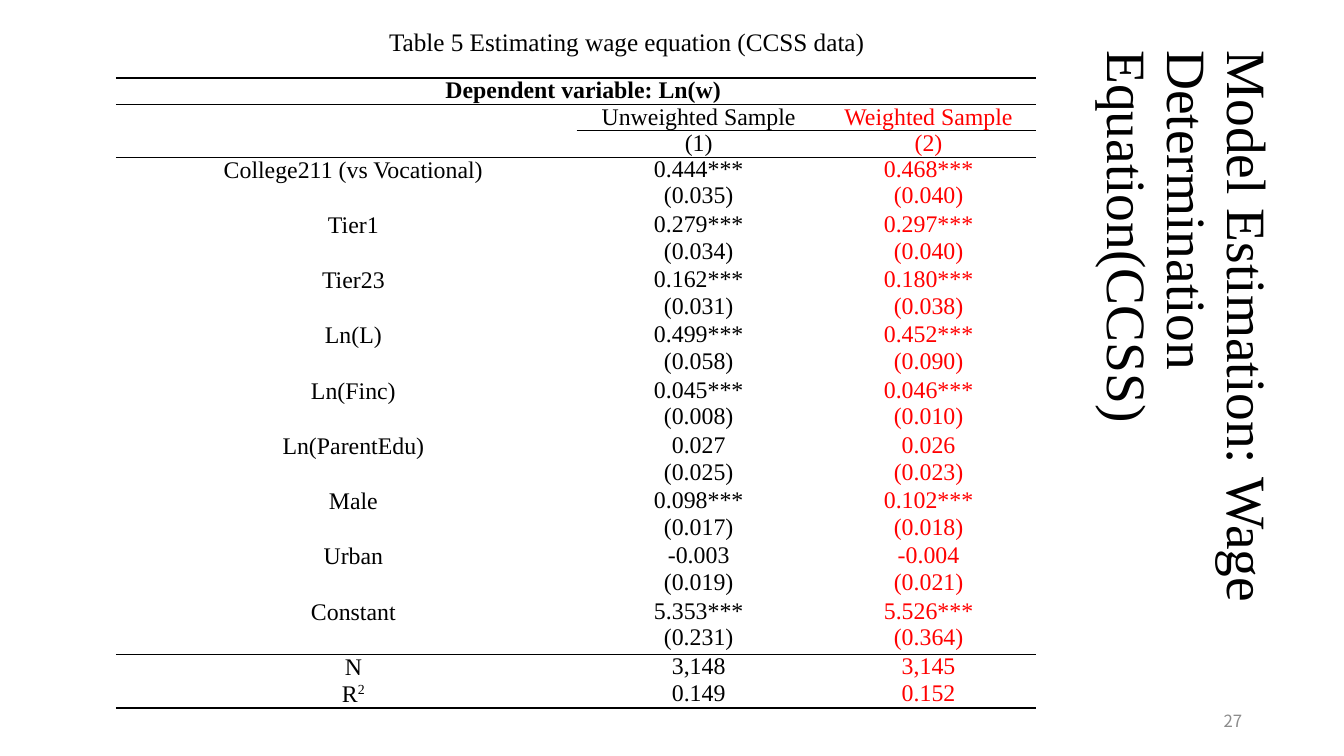
from dataclasses import dataclass

from lxml import etree
from pptx import Presentation
from pptx.dml.color import RGBColor
from pptx.enum.text import MSO_ANCHOR, PP_ALIGN
from pptx.oxml.ns import qn
from pptx.util import Inches, Pt

LEFT, CENTER, RIGHT = PP_ALIGN.LEFT, PP_ALIGN.CENTER, PP_ALIGN.RIGHT
TOP, MIDDLE = MSO_ANCHOR.TOP, MSO_ANCHOR.MIDDLE


@dataclass(frozen=True)
class Theme:
    serif: str = "Times New Roman"
    sans: str = "Noto Sans CJK SC"
    black: str = "000000"
    red: str = "FF0000"
    gray: str = "8C8C8C"
    title_size: float = 39.6
    caption_size: float = 18
    table_size: float = 17
    number_size: float = 12


@dataclass(frozen=True)
class Estimate:
    variable: str
    unweighted: str
    unweighted_error: str
    weighted: str
    weighted_error: str


THEME = Theme()

ESTIMATES = [
    Estimate("College211 (vs Vocational)", "0.444***", "(0.035)", "0.468***", "(0.040)"),
    Estimate("Tier1", "0.279***", "(0.034)", "0.297***", "(0.040)"),
    Estimate("Tier23", "0.162***", "(0.031)", "0.180***", "(0.038)"),
    Estimate("Ln(L)", "0.499***", "(0.058)", "0.452***", "(0.090)"),
    Estimate("Ln(Finc)", "0.045***", "(0.008)", "0.046***", "(0.010)"),
    Estimate("Ln(ParentEdu)", "0.027", "(0.025)", "0.026", "(0.023)"),
    Estimate("Male", "0.098***", "(0.017)", "0.102***", "(0.018)"),
    Estimate("Urban", "-0.003", "(0.019)", "-0.004", "(0.021)"),
    Estimate("Constant", "5.353***", "(0.231)", "5.526***", "(0.364)"),
]
HEADER_ROWS = [
    ("Dependent variable: Ln(w)", "", ""),
    ("", "Unweighted Sample", "Weighted Sample"),
    ("", "(1)", "(2)"),
]
SUMMARY_ROWS = [("N", "3,148", "3,145"), ("R", "0.149", "0.152")]
SUPERSCRIPTS = {"R": "2"}

COLUMN_WIDTHS = (4.57, 2.28, 2.28)
ROW_HEIGHT = 0.2
TABLE_LINE_SPACING = 0.93
# Rule widths in points, keyed by the row they stand above
RULES = {0: 1.5, 1: 1, 2: 1, 3: 1, 21: 1, 23: 1.5}


def write_text(frame, text: str, *, size: float, color: str = THEME.black,
               font: str = THEME.serif, bold: bool = False, align=LEFT,
               indent: float = 0, line_spacing: float | None = None,
               superscript: str = "") -> None:
    paragraph = frame.paragraphs[0]
    paragraph.alignment = align
    if line_spacing:
        paragraph.line_spacing = line_spacing
    if indent:
        properties = paragraph._p.get_or_add_pPr()
        properties.set("marL", "0")
        properties.set("indent", str(Inches(indent)))
    for part, raised in ((text, False), (superscript, True)):
        if not part:
            continue
        run = paragraph.add_run()
        run.text = part
        run.font.name = font
        run.font.size = Pt(size)
        run.font.bold = bold
        run.font.color.rgb = RGBColor.from_string(color)
        if raised:
            run._r.get_or_add_rPr().set("baseline", "30000")
    if not text:
        # Keep empty cells as low as the filled ones
        ending = paragraph._p.get_or_add_endParaRPr()
        ending.set("sz", str(int(size * 100)))
        etree.SubElement(ending, qn("a:latin"), typeface=font)


def add_text_box(slide, left: float, top: float, width: float, height: float,
                 text: str, *, anchor=TOP, vertical: bool = False, **text_format):
    shape = slide.shapes.add_textbox(
        Inches(left), Inches(top), Inches(width), Inches(height))
    frame = shape.text_frame
    frame.word_wrap = True
    frame.vertical_anchor = anchor
    if vertical:
        frame._txBody.bodyPr.set("vert", "eaVert")
        frame.margin_left = frame.margin_right = Inches(0.05)
    write_text(frame, text, **text_format)
    return shape


def set_borders(cell, top: float | None, bottom: float | None) -> None:
    properties = cell._tc.get_or_add_tcPr()
    borders = (("a:lnL", None), ("a:lnR", None), ("a:lnT", top), ("a:lnB", bottom))
    for tag, width in borders:
        line = etree.SubElement(properties, qn(tag), w=str(Pt(width or 0)))
        if width:
            fill = etree.SubElement(line, qn("a:solidFill"))
            etree.SubElement(fill, qn("a:srgbClr"), val=THEME.black)
        else:
            etree.SubElement(line, qn("a:noFill"))


def table_rows() -> list[tuple[str, str, str]]:
    rows = list(HEADER_ROWS)
    for estimate in ESTIMATES:
        rows.append((estimate.variable, estimate.unweighted, estimate.weighted))
        rows.append(("", estimate.unweighted_error, estimate.weighted_error))
    return rows + SUMMARY_ROWS


def add_regression_table(slide) -> None:
    rows = table_rows()
    shape = slide.shapes.add_table(
        len(rows), len(COLUMN_WIDTHS), Inches(1.15), Inches(0.77),
        Inches(sum(COLUMN_WIDTHS)), Inches(ROW_HEIGHT * len(rows)))
    table = shape.table
    table.first_row = False
    table.horz_banding = False
    for column, width in zip(table.columns, COLUMN_WIDTHS):
        column.width = Inches(width)
    for row in table.rows:
        row.height = Inches(ROW_HEIGHT)

    for row_index, texts in enumerate(rows):
        for column_index, text in enumerate(texts):
            cell = table.cell(row_index, column_index)
            cell.margin_left = cell.margin_right = Inches(0.04)
            cell.margin_top = cell.margin_bottom = 0
            is_header = row_index < len(HEADER_ROWS)
            cell.vertical_anchor = MIDDLE if is_header or column_index == 0 else TOP
            # The rule under the sample names skips the first column
            top, bottom = (
                None if edge == 2 and column_index == 0 else RULES.get(edge)
                for edge in (row_index, row_index + 1))
            set_borders(cell, top, bottom)
            cell.fill.background()
            write_text(cell.text_frame, text, size=THEME.table_size,
                       color=THEME.red if column_index == 2 else THEME.black,
                       bold=row_index == 0, align=CENTER, indent=0.14,
                       line_spacing=TABLE_LINE_SPACING,
                       superscript=SUPERSCRIPTS.get(text, ""))

    table.cell(0, 0).merge(table.cell(0, 2))
    table.cell(1, 0).merge(table.cell(2, 0))


def main() -> None:
    presentation = Presentation()
    presentation.slide_width = Inches(13.33)
    presentation.slide_height = Inches(7.5)
    slide = presentation.slides.add_slide(presentation.slide_layouts[6])

    # Vertical title and slide number
    add_text_box(slide, 11.1, 0.4, 1.32, 6.36,
                 "Model Estimation: Wage Determination Equation(CCSS)",
                 anchor=MIDDLE, vertical=True, size=THEME.title_size, line_spacing=0.9)
    add_text_box(slide, 9.42, 6.95, 3, 0.4, "27", anchor=MIDDLE, align=RIGHT,
                 size=THEME.number_size, font=THEME.sans, color=THEME.gray)

    # Regression table and its caption
    add_regression_table(slide)
    add_text_box(slide, 3.76, 0.21, 5.08, 0.4,
                 "Table 5 Estimating wage equation (CCSS data)", size=THEME.caption_size)

    presentation.save("out.pptx")


if __name__ == "__main__":
    main()
